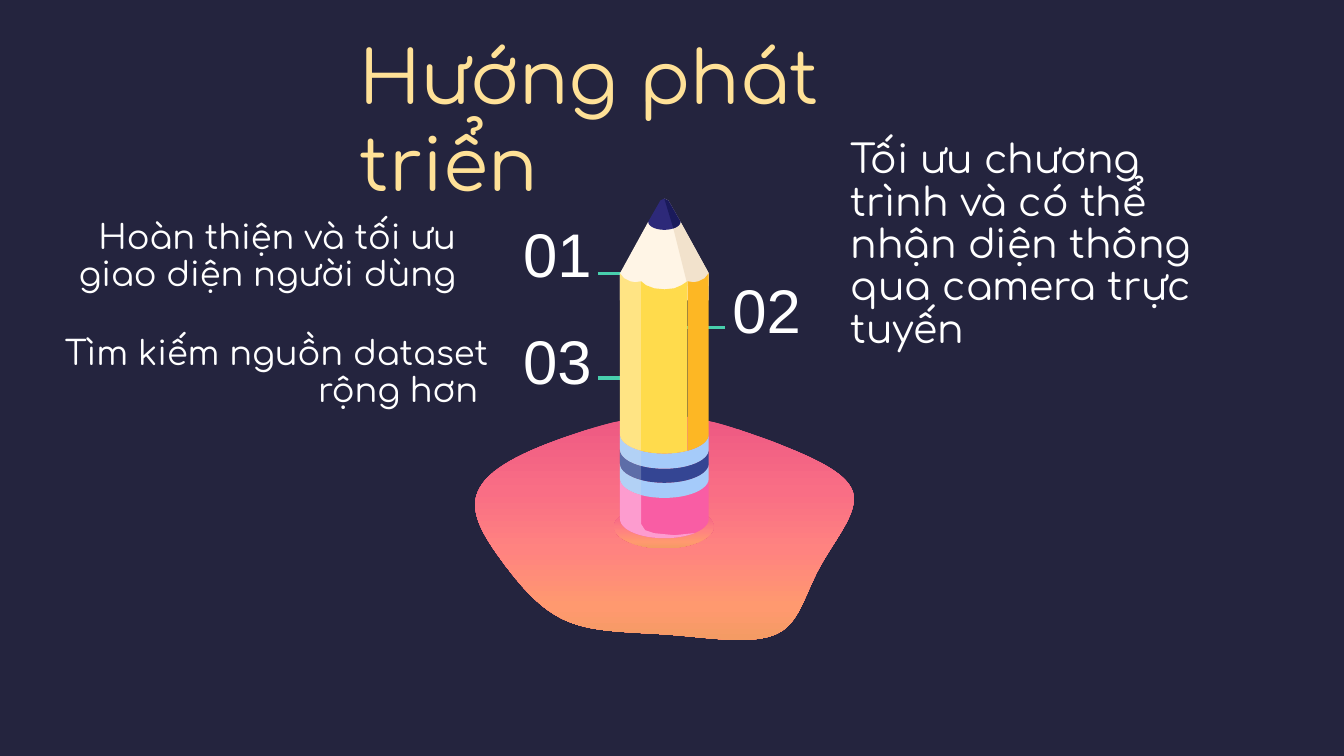
from dataclasses import dataclass
from math import cos, pi, sqrt

from lxml.etree import SubElement
from pptx import Presentation
from pptx.dml.color import RGBColor
from pptx.enum.shapes import MSO_CONNECTOR, MSO_SHAPE
from pptx.enum.text import MSO_ANCHOR, MSO_AUTO_SIZE, PP_ALIGN
from pptx.oxml.ns import qn
from pptx.util import Inches, Pt

SLIDE_W, SLIDE_H = Inches(13.33), Inches(7.5)
TEXT_FONT, NUMBER_FONT = "Comfortaa", "Arial"

NIGHT = RGBColor(0x24, 0x24, 0x3E)
WHITE = RGBColor(0xFF, 0xFF, 0xFF)
CREAM = RGBColor(0xFF, 0xE1, 0x97)
MINT = RGBColor(0x48, 0xCF, 0xAD)
WOOD = RGBColor(0xFF, 0xF5, 0xE6)
WOOD_SHADE = RGBColor(0xF2, 0xE2, 0xCC)
LEAD = RGBColor(0x2D, 0x29, 0x79)
LEAD_SHADE = RGBColor(0x1A, 0x1A, 0x5B)
BODY_LIGHT = RGBColor(0xFF, 0xE4, 0x84)
BODY = RGBColor(0xFF, 0xDB, 0x4C)
BODY_SHADE = RGBColor(0xFD, 0xB7, 0x24)
METAL = RGBColor(0xA5, 0xCB, 0xFA)
STRIPE = RGBColor(0x34, 0x45, 0x93)
ERASER = RGBColor(0xF9, 0x5D, 0xA4)
ERASER_LIGHT = RGBColor(0xFD, 0x9C, 0xCF)
SHINE = RGBColor(0xDA, 0xE6, 0xEA)
SUNSET = [
    (0, RGBColor(0xED, 0x58, 0x83)),
    (34, RGBColor(0xF9, 0x6E, 0x85)),
    (60, RGBColor(0xFF, 0x83, 0x80)),
    (85, RGBColor(0xFF, 0x99, 0x6F)),
    (100, RGBColor(0xF4, 0x9B, 0x64)),
]


@dataclass
class Box:
    left: float
    top: float
    width: float
    height: float

    def emu(self):
        return (across(self.left), down(self.top),
                across(self.width), down(self.height))

    def inner(self, x, y, columns, rows):
        return (across(self.left + self.width * x / columns),
                down(self.top + self.height * y / rows))


def across(percent):
    return round(SLIDE_W * percent / 100)


def down(percent):
    return round(SLIDE_H * percent / 100)


def finish(shape):
    shape.line.fill.background()
    shape.shadow.inherit = False
    return shape


def draw_outline(slide, box, grid, points):
    corners = [box.inner(x, y, *grid) for x, y in points]
    builder = slide.shapes.build_freeform(*corners[0], scale=1.0)
    builder.add_line_segments(corners[1:], close=True)
    return finish(builder.convert_to_shape())


def paint(shape, color, opacity=100):
    shape.fill.solid()
    shape.fill.fore_color.rgb = color
    if opacity < 100:
        tint = shape.element.spPr.find(qn("a:solidFill"))[0]
        SubElement(tint, qn("a:alpha"), val=str(opacity * 1000))


def paint_sunset(shape):
    shape.fill.gradient()
    shape.fill.gradient_angle = 270
    stops = shape.element.spPr.find(qn("a:gradFill")).find(qn("a:gsLst"))
    for stop in list(stops):
        stops.remove(stop)
    for position, color in SUNSET:
        stop = SubElement(stops, qn("a:gs"), pos=str(position * 1000))
        SubElement(stop, qn("a:srgbClr"), val=str(color))


def smooth_curve(start, bends, steps=16):
    points = [start]
    for a, b, end in bends:
        begin = points[-1]
        for step in range(1, steps + 1):
            t = step / steps
            weights = ((1 - t) ** 3, 3 * t * (1 - t) ** 2, 3 * t * t * (1 - t), t ** 3)
            points.append(tuple(sum(w * p[axis] for w, p in zip(weights, (begin, a, b, end)))
                                for axis in (0, 1)))
    return points


def arc(x0, x1, y, radius=44, dip=19, steps=24):
    xs = [x0 + (x1 - x0) * (1 - cos(pi * i / steps)) / 2 for i in range(steps + 1)]
    return [(x, y + dip * sqrt(max(0, 1 - ((x - 44) / radius) ** 2))) for x in xs]


def band(x0, x1, top, bottom):
    return arc(x0, x1, top) + arc(x0, x1, bottom)[::-1]


def draw_island(slide, box):
    bends = [
        ((330, 40), (368, 55), (375, 76)), ((381, 97), (357, 123), (342, 151)),
        ((327, 178), (322, 207), (299, 217)), ((275, 228), (234, 221), (196, 218)),
        ((158, 215), (123, 216), (96, 206)), ((69, 196), (50, 175), (31, 150)),
        ((13, 126), (-7, 98), (3, 76)), ((12, 53), (50, 36), (86, 23)),
        ((123, 10), (157, 0), (192, 0)), ((226, 1), (259, 13), (295, 26)),
    ]
    paint_sunset(draw_outline(slide, box, (375, 223), smooth_curve((295, 26), bends)))


def draw_pencil(slide, box):
    grid = (88, 337)
    left, top = box.inner(-6, 304, *grid)
    right, bottom = box.inner(93, 347, *grid)
    hollow = slide.shapes.add_shape(MSO_SHAPE.OVAL, left, top, right - left, bottom - top)
    paint_sunset(finish(hollow))

    left_scallop = [(0, 74), (4, 79), (10, 82), (15, 83), (21, 82)]
    right_scallop = [(88 - x, y) for x, y in reversed(left_scallop)]
    middle_scallop = [(21, 82), (26, 86), (34, 89), (44, 90), (54, 89), (61, 86), (67, 82)]
    parts = [
        ([(28, 23), (0, 74), (0, 101), (88, 101), (88, 74), (60, 23)], WOOD),
        ([(44, 0), (53, 30), (66, 82), (66, 87), (88, 87), (88, 74), (60, 23), (48, 2)],
         WOOD_SHADE),
        (band(0, 88, 278, 318), ERASER),
        (band(0, 88, 263, 278), METAL),
        (band(0, 88, 249, 263), STRIPE),
        (band(0, 88, 234, 249), METAL),
        (left_scallop + arc(0, 21, 234)[::-1], BODY_LIGHT),
        (right_scallop + arc(67, 88, 234)[::-1], BODY_SHADE),
        (middle_scallop + arc(21, 67, 234)[::-1], BODY),
        ([(44, 0), (40, 2)] + arc(28, 60, 23, 16, 8) + [(48, 2)], LEAD),
        ([(44, 0)] + arc(53, 60, 23, 16, 8) + [(48, 2)], LEAD_SHADE),
        (arc(0, 21, 278) + [(21, 323), (25, 329), (34, 332), (54, 334)]
         + arc(0, 74, 318)[::-1], ERASER_LIGHT),
    ]
    for points, color in parts:
        paint(draw_outline(slide, box, grid, points), color)
    paint(draw_outline(slide, box, grid, band(0, 21, 234, 278)), SHINE, 25)


def write(shape, text, font, size, color, align, anchor, spacing, inset):
    frame = shape.text_frame
    frame.text = text
    frame.word_wrap = True
    frame.auto_size = MSO_AUTO_SIZE.NONE
    frame.vertical_anchor = anchor
    frame.margin_left = frame.margin_right = Inches(inset)
    frame.margin_top = frame.margin_bottom = Inches(inset)
    paragraph = frame.paragraphs[0]
    paragraph.alignment = align
    paragraph.line_spacing = spacing
    paragraph.space_before = Pt(0)
    properties = paragraph._p.get_or_add_pPr()
    properties.set("marL", "0")
    properties.set("indent", "0")
    SubElement(properties, qn("a:buNone"))
    style = paragraph.runs[0].font
    style.name, style.size, style.bold = font, Pt(size), False
    style.color.rgb = color


def fill_placeholder(placeholder, box, text, size, color, align, anchor, spacing, inset):
    placeholder.left, placeholder.top, placeholder.width, placeholder.height = box.emu()
    write(placeholder, text, TEXT_FONT, size, color, align, anchor, spacing, inset)


def draw_leader(slide, start, end, level):
    leader = slide.shapes.add_connector(
        MSO_CONNECTOR.STRAIGHT, across(start), down(level), across(end), down(level))
    leader.line.color.rgb = MINT
    leader.line.width = Pt(2.25)
    SubElement(leader._element.spPr, qn("a:effectLst"))


def draw_number(slide, box, number, anchor):
    label = slide.shapes.add_textbox(*box.emu())
    write(label, number, NUMBER_FONT, 44, WHITE, PP_ALIGN.CENTER, anchor, 0.9, 0.1)


def build_directions_slide(deck):
    slide = deck.slides.add_slide(deck.slide_layouts[4])
    slide.background.fill.solid()
    slide.background.fill.fore_color.rgb = NIGHT
    fill_placeholder(slide.shapes.title, Box(26.78, 4.13, 45.3, 11.73), "Hướng phát triển",
                     52, CREAM, PP_ALIGN.LEFT, MSO_ANCHOR.TOP, 1.0, 0)
    draw_island(slide, Box(35.33, 54.93, 28.13, 29.73))

    directions = [
        ("01", "Hoàn thiện và tối ưu giao diện người dùng", 24, PP_ALIGN.RIGHT, MSO_ANCHOR.TOP,
         Box(0.68, 29.07, 33.98, 11.07), Box(37.05, 28.4, 8.85, 11.07), (44.48, 50.33, 36.13)),
        ("02", "Tối ưu chương trình và có thể nhận diện thông qua camera trực tuyến", 28,
         PP_ALIGN.LEFT, MSO_ANCHOR.MIDDLE,
         Box(62.55, 39.47, 30.53, 8.4), Box(51.98, 36, 10.13, 11.07), (48.15, 53.93, 43.33)),
        ("03", "Tìm kiếm nguồn dataset rộng hơn ", 24, PP_ALIGN.RIGHT, MSO_ANCHOR.TOP,
         Box(0.38, 47.07, 36.68, 8.4), Box(35.85, 42.53, 11.25, 11.07), (44.48, 50.33, 50)),
    ]
    bodies = list(slide.placeholders)[1:]
    for body, direction in zip(bodies, directions):
        number, text, size, align, anchor, text_box, number_box, leader = direction
        fill_placeholder(body, text_box, text, size, WHITE, align, MSO_ANCHOR.BOTTOM, 0.9, 0.1)
        draw_leader(slide, *leader)
        draw_number(slide, number_box, number, anchor)
    for unused in bodies[len(directions):]:
        unused.element.getparent().remove(unused.element)
    draw_pencil(slide, Box(46.13, 26.27, 6.6, 44.93))


def main():
    deck = Presentation()
    deck.slide_width, deck.slide_height = SLIDE_W, SLIDE_H
    build_directions_slide(deck)
    deck.save("out.pptx")


if __name__ == "__main__":
    main()
